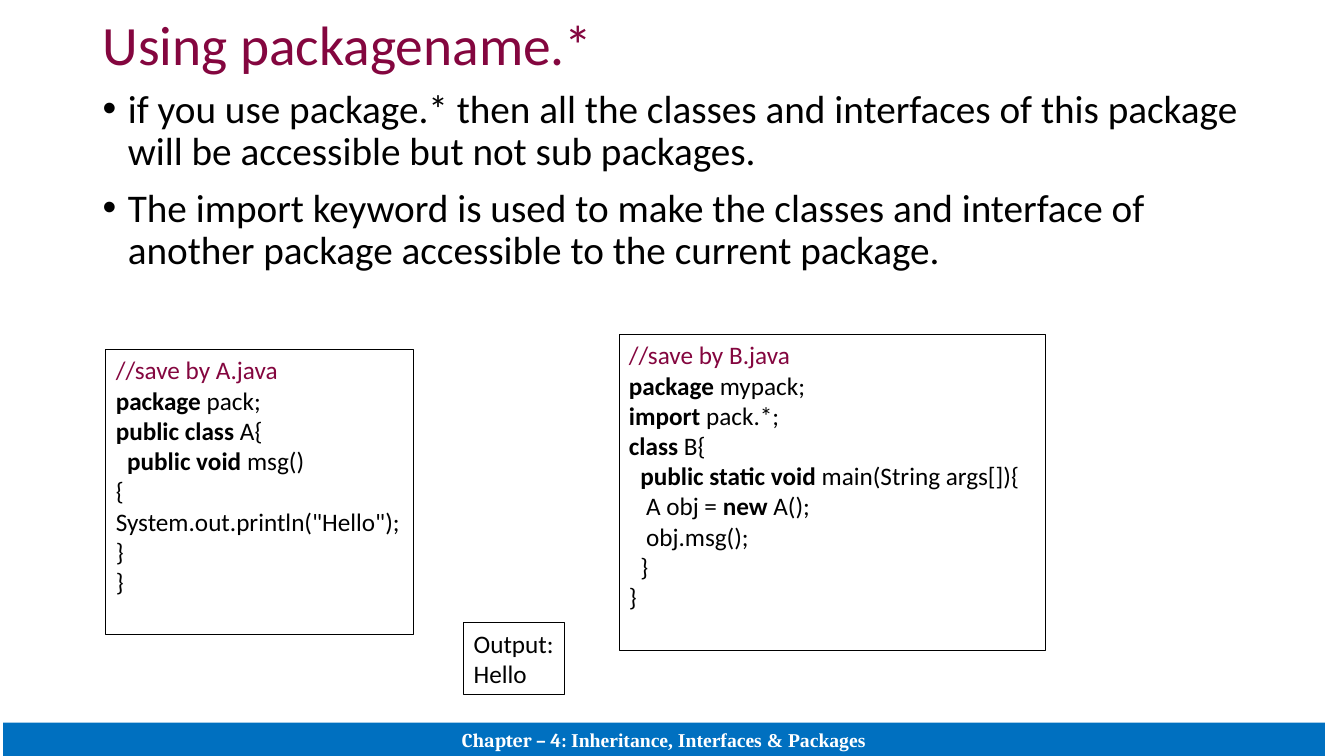
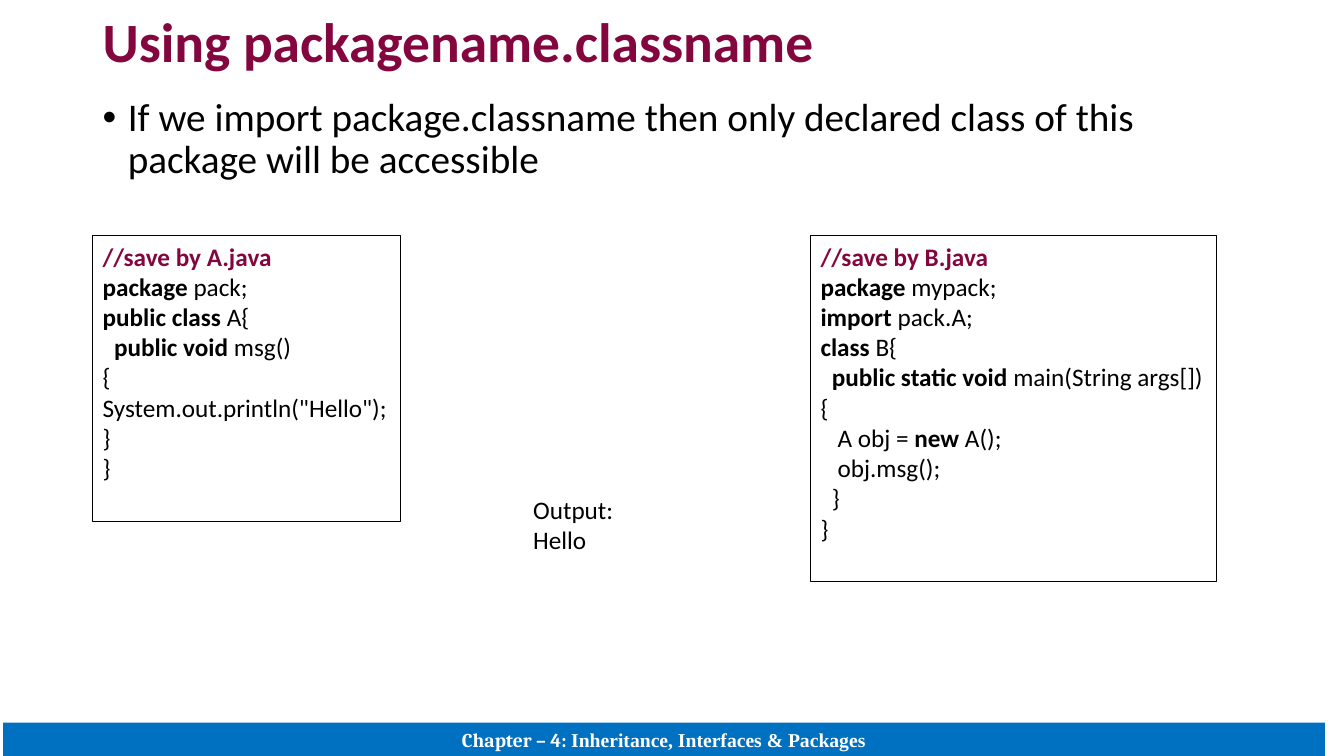
"""Build two slides on importing Java packages, each with code samples and output."""
from itertools import groupby

from lxml import etree
from pptx import Presentation
from pptx.dml.color import RGBColor
from pptx.enum import shapes, text
from pptx.oxml import ns
from pptx.util import Inches, Pt

THEME = {
    "accent": "84063F", "ink": "000000", "band": "0070C0", "paper": "FFFFFF",
    "font": "Calibri", "title": 39.6, "body": 28, "code": 18, "footer": 14,
}
KEYWORDS = {"package", "import", "public", "class", "static", "void", "new"}
FOOTER = [("Chapter – 4: ", "Cambria"),
          ("Inheritance, Interfaces & Packages", "Times New Roman")]
FOOTER_AT = (0.03, 7.17, 13.11, 0.33)
OUTPUT = ["Output:", "Hello"]

CLASS_A = """//save by A.java
package pack;
public class A{
  public void msg()
{
System.out.println("Hello");
}
}"""
CLASS_B = """//save by B.java
package mypack;
import {imported};
class B{{
  public static void main(String args[]){brace}
   A obj = new A();
   obj.msg();
  }}
}}"""

SLIDES = [
    {
        "title": "Using packagename.*", "bold": False,
        "title_at": (0.92, 0.1, 11.5, 0.74),
        "points": [
            "if you use package.* then all the classes and interfaces of this package "
            "will be accessible but not sub packages.",
            "The import keyword is used to make the classes and interface of another "
            "package accessible to the current package.",
        ],
        "points_at": (0.92, 0.84, 11.5, 2.2),
        "samples": [
            (CLASS_A, (1.05, 3.47, 3.05, 2.83)),
            (CLASS_B.format(imported="pack.*", brace="{"), (6.14, 3.32, 4.23, 3.13)),
        ],
        "output_at": (4.6, 6.18, 1, 0.71), "output_framed": True,
    },
    {
        "title": "Using packagename.classname", "bold": True,
        "title_at": (0.92, 0.15, 11.5, 0.59),
        "points": ["If we import package.classname then only declared class of this "
                   "package will be accessible"],
        "points_at": (0.92, 0.92, 11.5, 1.2),
        "samples": [
            (CLASS_A, (0.92, 2.34, 3.05, 2.83)),
            (CLASS_B.format(imported="pack.A", brace="\n{"), (8.04, 2.34, 4.03, 3.43)),
        ],
        "output_at": (5.19, 4.85, 1, 0.71), "output_framed": False,
    },
]


def colour(role):
    return RGBColor.from_string(THEME[role])


def add_run(paragraph, words, size, ink="ink", bold=False, face=THEME["font"]):
    run = paragraph.add_run()
    run.text = words
    run.font.color.rgb = colour(ink)
    for name, value in {"size": Pt(THEME[size]), "bold": bold, "name": face}.items():
        setattr(run.font, name, value)


def add_lines(frame, count, **paragraph_format):
    lines = [frame.paragraphs[0]] + [frame.add_paragraph() for _ in range(count - 1)]
    for line in lines:
        for name, value in {"alignment": text.PP_ALIGN.LEFT, **paragraph_format}.items():
            setattr(line, name, value)
    return lines


def add_text_area(slide, at, anchor=text.MSO_ANCHOR.TOP):
    frame = slide.shapes.add_textbox(*map(Inches, at)).text_frame
    frame.word_wrap = True
    frame.vertical_anchor = anchor
    return frame


def add_panel(slide, at, fill=None, border=None):
    panel = slide.shapes.add_shape(shapes.MSO_SHAPE.RECTANGLE, *map(Inches, at))
    panel.shadow.inherit = False
    if fill:
        panel.fill.solid()
        panel.fill.fore_color.rgb = colour(fill)
    else:
        panel.fill.background()
    if border:
        panel.line.color.rgb = colour(border)
        panel.line.width = Pt(0.75)
    else:
        panel.line.fill.background()
    frame = panel.text_frame
    frame.word_wrap = True
    frame.vertical_anchor = text.MSO_ANCHOR.TOP
    return frame


def add_bullet(paragraph):
    properties = paragraph._p.get_or_add_pPr()
    properties.set("marL", str(Inches(0.25)))
    properties.set("indent", str(Inches(-0.25)))
    etree.SubElement(properties, ns.qn("a:buFont")).set("typeface", "Arial")
    etree.SubElement(properties, ns.qn("a:buChar")).set("char", "•")


def add_footer(slide):
    line, = add_lines(add_panel(slide, FOOTER_AT, fill="band"), 1,
                      alignment=text.PP_ALIGN.CENTER)
    for words, face in FOOTER:
        add_run(line, words, "footer", "paper", True, face)


def add_title(slide, topic):
    frame = add_text_area(slide, topic["title_at"], text.MSO_ANCHOR.MIDDLE)
    line, = add_lines(frame, 1, line_spacing=0.9)
    add_run(line, topic["title"], "title", "accent", topic["bold"])


def add_points(slide, topic):
    points = topic["points"]
    frame = add_text_area(slide, topic["points_at"])
    for index, (line, point) in enumerate(
            zip(add_lines(frame, len(points), line_spacing=0.9), points)):
        if index:
            line.space_before = Pt(10)
        add_bullet(line)
        add_run(line, point, "body")


def add_code(slide, code, at, bold_comment):
    rows = code.split("\n")
    frame = add_panel(slide, at, border="ink")
    for line, row in zip(add_lines(frame, len(rows)), rows):
        if row.startswith("//"):
            add_run(line, row, "code", "accent", bold_comment)
            continue
        words = row.replace(" ", " \n").split("\n")
        for is_keyword, group in groupby(words, lambda word: word.strip() in KEYWORDS):
            add_run(line, "".join(group), "code", bold=is_keyword)


def add_output(slide, topic):
    at = topic["output_at"]
    frame = add_panel(slide, at, border="ink") if topic["output_framed"] else add_text_area(slide, at)
    for line, words in zip(add_lines(frame, len(OUTPUT)), OUTPUT):
        add_run(line, words, "code")


def main():
    deck = Presentation()
    deck.slide_width, deck.slide_height = Inches(13.33), Inches(7.5)
    for topic in SLIDES:
        slide = deck.slides.add_slide(deck.slide_layouts[6])
        add_footer(slide)
        add_title(slide, topic)
        add_points(slide, topic)
        for code, at in topic["samples"]:
            add_code(slide, code, at, topic["bold"])
        add_output(slide, topic)
    deck.save("out.pptx")


if __name__ == "__main__":
    main()
